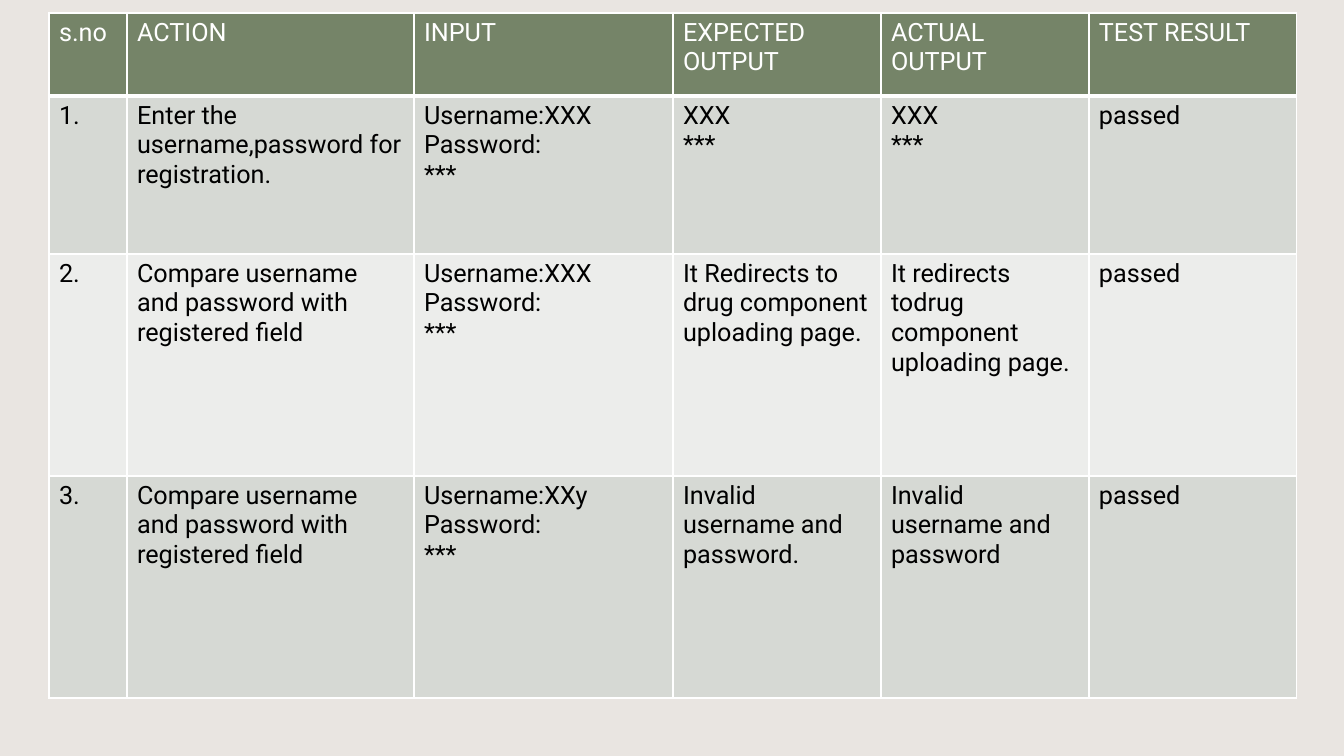
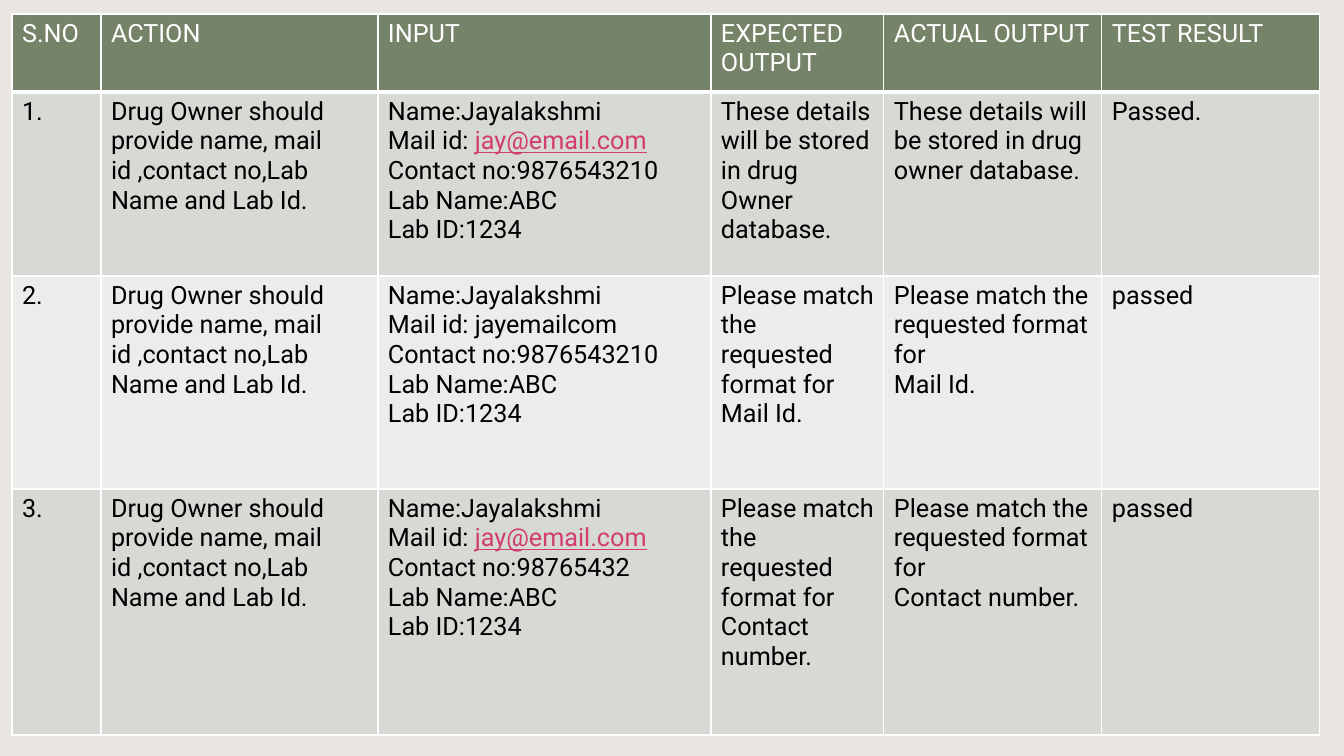
from lxml.etree import SubElement
from pptx import Presentation
from pptx.dml.color import RGBColor
from pptx.oxml.ns import qn
from pptx.util import Pt

EMU_PER_PX = 914400 / 100.8
SLIDE_W, SLIDE_H = 1344, 756

BACKGROUND = RGBColor(0xE9, 0xE5, 0xE1)
HEADER = RGBColor(0x75, 0x84, 0x68)
BAND_DARK = RGBColor(0xD6, 0xD9, 0xD4)
BAND_LIGHT = RGBColor(0xEC, 0xED, 0xEB)
WHITE = RGBColor(0xFF, 0xFF, 0xFF)
BLACK = RGBColor(0x00, 0x00, 0x00)
LINK = RGBColor(0xD1, 0x3D, 0x6E)

BASE_FONT = {"name": "Roboto", "size": Pt(18), "bold": False}
EMAIL = "jay@email.com"
HEADINGS = ["ACTION", "INPUT", "EXPECTED OUTPUT", "ACTUAL OUTPUT", "TEST RESULT"]


def px(n):
    return round(n * EMU_PER_PX)


def add_run(p, text, **font):
    r = p.add_run()
    r.text = text
    color = font.pop("color")
    for name, value in {**BASE_FONT, **font}.items():
        setattr(r.font, name, value)
    r.font.color.rgb = color


def fill_text(cell, text, color):
    """Write one paragraph per line, with the e-mail address styled as a link."""
    tf = cell.text_frame
    for i, line in enumerate(text.split("\n")):
        p = tf.paragraphs[0] if i == 0 else tf.add_paragraph()
        for part in line.partition(EMAIL):
            if part == EMAIL:
                add_run(p, part, color=LINK, underline=True)
            elif part:
                add_run(p, part, color=color)


def set_borders(cell, bottom):
    tc_pr = cell._tc.get_or_add_tcPr()
    for side, width in {"lnL": 1, "lnR": 1, "lnT": 1, "lnB": bottom}.items():
        ln = SubElement(tc_pr, qn(f"a:{side}"), w=str(Pt(width)))
        fill = SubElement(ln, qn("a:solidFill"))
        SubElement(fill, qn("a:srgbClr"), val=str(WHITE))


def add_test_table(prs, left, top, widths, heights, rows):
    s = prs.slides.add_slide(prs.slide_layouts[6])
    frame = s.shapes.add_table(len(rows), len(widths), px(left), px(top),
                               px(sum(widths)), px(sum(heights)))
    table = frame.table
    table.first_row = table.horz_banding = False
    for col, width in zip(table.columns, widths):
        col.width = px(width)
    for i, (row, height, texts) in enumerate(zip(table.rows, heights, rows)):
        row.height = px(height)
        is_header = i == 0
        band = HEADER if is_header else BAND_DARK if i % 2 else BAND_LIGHT
        for cell, text in zip(row.cells, texts):
            set_borders(cell, 3 if is_header else 1)
            cell.fill.solid()
            cell.fill.fore_color.rgb = band
            fill_text(cell, text, WHITE if is_header else BLACK)


def owner_input(mail, contact):
    return (f"Name:Jayalakshmi\nMail id: {mail}\nContact no:{contact}\n"
            "Lab Name:ABC\nLab ID:1234")


def login_input(user):
    return f"Username:{user}\nPassword:\n***"


def add_login_tests(prs):
    compare = "Compare username and password with registered field"
    rows = [
        ["s.no", *HEADINGS],
        ["1.", "Enter the username,password for registration.",
         login_input("XXX"), "XXX\n***", "XXX\n***", "passed"],
        ["2.", compare, login_input("XXX"),
         "It Redirects to drug component uploading page.",
         "It redirects todrug component uploading page.", "passed"],
        ["3.", compare, login_input("XXy"), "Invalid username and password.",
         "Invalid username and password", "passed"],
    ]
    add_test_table(prs, 49, 13, [78, 287, 259] + [208] * 3,
                   [83, 158, 222, 222], rows)


def add_owner_tests(prs):
    action = ("Drug Owner should provide name, mail id ,contact no,"
              "Lab Name and Lab Id.")
    stored = "These details will be stored in drug {} database."
    mismatch = "Please match the requested format for\n{}"
    bad_mail = mismatch.format("Mail Id.")
    bad_contact = mismatch.format("Contact number.")
    rows = [
        ["S.NO", *HEADINGS],
        ["1.", action, owner_input(EMAIL, "9876543210"),
         stored.format("Owner"), stored.format("owner"), "Passed."],
        ["2.", action, owner_input("jayemailcom", "9876543210"),
         bad_mail, bad_mail, "passed"],
        ["3.", action, owner_input(EMAIL, "98765432"),
         bad_contact, bad_contact, "passed"],
    ]
    add_test_table(prs, 12, 14, [89, 277, 333, 173, 218, 218],
                   [78, 184, 213, 246], rows)


def main():
    prs = Presentation()
    prs.slide_width, prs.slide_height = px(SLIDE_W), px(SLIDE_H)

    # Shared background
    fill = prs.slide_master.background.fill
    fill.solid()
    fill.fore_color.rgb = BACKGROUND

    add_login_tests(prs)
    add_owner_tests(prs)
    prs.save("out.pptx")


if __name__ == "__main__":
    main()
